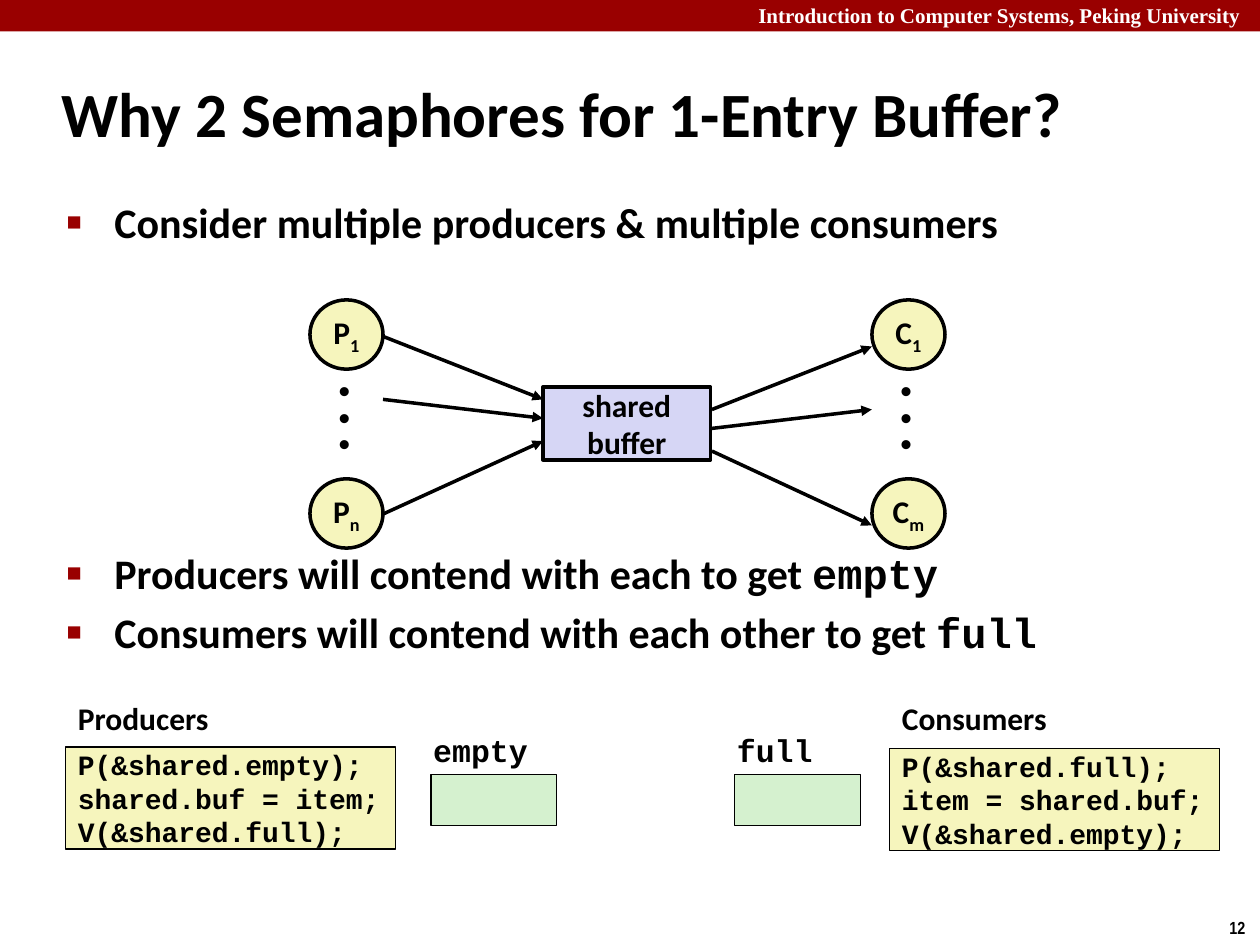
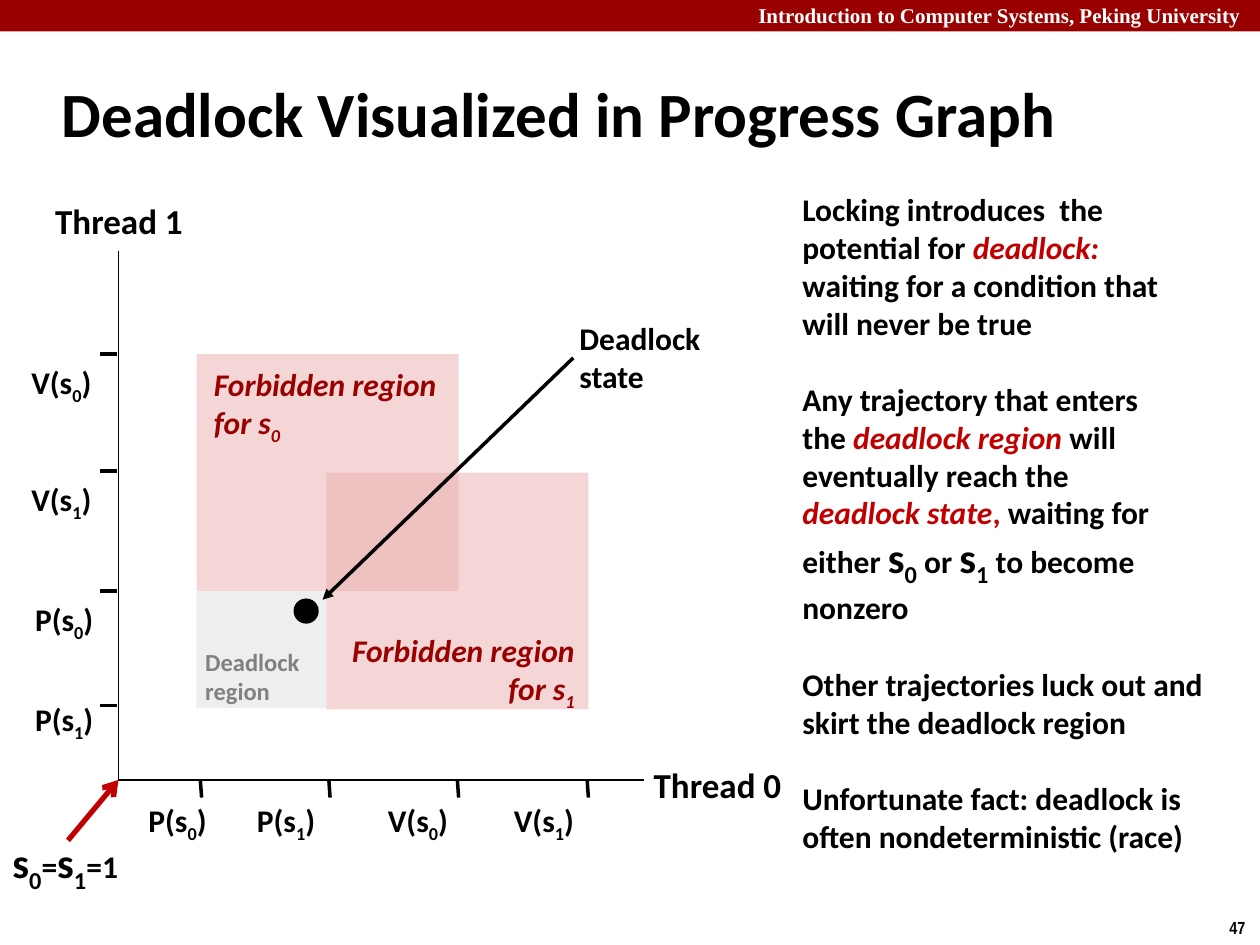
from lxml.etree import SubElement
from pptx import Presentation
from pptx.dml.color import RGBColor
from pptx.enum.shapes import MSO_CONNECTOR, MSO_SHAPE as Shape
from pptx.enum.text import MSO_ANCHOR as Anchor, PP_ALIGN as Align
from pptx.oxml.ns import qn
from pptx.util import Inches, Pt

BLACK = RGBColor(0x00, 0x00, 0x00)
WHITE = RGBColor(0xFF, 0xFF, 0xFF)
CRIMSON = RGBColor(0x99, 0x00, 0x00)
RED = RGBColor(0xC0, 0x00, 0x00)
YELLOW = RGBColor(0xF6, 0xF5, 0xBD)
LAVENDER = RGBColor(0xD6, 0xD6, 0xF5)
GREEN = RGBColor(0xD5, 0xF1, 0xCF)
PINK = RGBColor(0xEB, 0xAF, 0xAF)
SILVER = RGBColor(0xCC, 0xCC, 0xCC)
GRAY = RGBColor(0x80, 0x80, 0x80)

SANS, MONO = "Calibri", "Courier New"
FOOTER = "Introduction to Computer Systems, Peking University"

# Span styles
CODE = {"font": MONO}
SUB = {"sub": True}
KEY = {"color": RED, "italic": True}
BIG = {"size": 24}
BIG_SUB = {"size": 24, "sub": True}

# Semaphore slide: a paragraph is a string or a list of spans
BULLETS = [
    "Consider multiple producers & multiple consumers",
    ["Producers will contend with each to get ", ("empty", CODE)],
    ["Consumers will contend with each other to get ", ("full", CODE)],
]
BULLET_GAPS = {1: 172, 2: 4.8}
PARTIES = [("P", "n", 2.46), ("C", "m", 6.92)]  # letter, last index, left
ARROWS = [
    ((3.04, 2.67), (4.31, 3.17)),
    ((3.04, 3.17), (4.31, 3.32)),
    ((3.04, 4.08), (4.31, 3.5)),
    ((5.65, 3.25), (6.92, 2.75)),
    ((5.65, 3.4), (6.92, 3.25)),
    ((5.65, 3.58), (6.92, 4.17)),
]
LISTINGS = [  # heading, left, top, code
    ("Producers", 0.52, 5.93,
     ["P(&shared.empty);", "shared.buf = item;", "V(&shared.full);"]),
    ("Consumers", 7.06, 5.94,
     ["P(&shared.full);", "item = shared.buf;", "V(&shared.empty);"]),
]
SEMAPHORES = [("empty", 3.42), ("full", 5.83)]

# Deadlock slide
NOTES = [
    "Locking introduces  the",
    ["potential for ", ("deadlock:", KEY)],
    "waiting for a condition that will never be true",
    "Any trajectory that enters",
    ["the ", ("deadlock region ", KEY), "will"],
    "eventually reach the",
    [("deadlock state", KEY), (", ", {"color": RED}), "waiting for either ",
     ("s", BIG), ("0", BIG_SUB), " or ", ("s", BIG), ("1", BIG_SUB),
     " to become nonzero"],
    "Other trajectories luck out and skirt the deadlock region",
    "Unfortunate fact: deadlock is often nondeterministic (race)",
]
NOTE_GAPS = {3: 22, 7: 22, 8: 22}
ORIGIN = (0.94, 6.19)
X_MARKS = [("P", "0", 1.59, 1.08), ("P", "1", 2.61, 1.94),
           ("V", "0", 3.63, 2.98), ("V", "1", 4.66, 3.98)]  # tick, label left
Y_MARKS = [("V", "0", 2.81, 2.85), ("V", "1", 3.74, 3.78),
           ("P", "0", 4.69, 4.73), ("P", "1", 5.6, 5.53)]  # tick, label top
FORBIDDEN = [  # index, region corner, label box, alignment
    ("0", (1.56, 2.81), (1.6, 2.85, 2.06, 0.71), Align.LEFT),
    ("1", (2.59, 3.75), (2.61, 4.96, 2.05, 0.71), Align.RIGHT),
]


def write(frame, paragraphs, size=18, font=SANS, color=BLACK, italic=False,
          align=Align.LEFT, gaps=None, line_spacing=None):
    """Fill a frame; gaps maps a paragraph's index to its space before."""
    for index, spans in enumerate(paragraphs):
        para = frame.paragraphs[0] if index == 0 else frame.add_paragraph()
        para.alignment = align
        para.space_before = Pt((gaps or {}).get(index, 0))
        if line_spacing:
            para.line_spacing = line_spacing
        for span in [spans] if isinstance(spans, str) else spans:
            text, style = (span, {}) if isinstance(span, str) else span
            run = para.add_run()
            run.text = text
            run.font.bold = True
            run.font.italic = style.get("italic", italic)
            run.font.size = Pt(style.get("size", size))
            run.font.name = style.get("font", font)
            run.font.color.rgb = style.get("color", color)
            if style.get("sub"):
                run._r.get_or_add_rPr().set("baseline", "-25000")


def add_text(slide, place, paragraphs, wrap=False, anchor=Anchor.TOP,
             flat=False, **style):
    """Add a text box; flat drops the top and bottom insets."""
    frame = slide.shapes.add_textbox(*map(Inches, place)).text_frame
    frame.word_wrap = wrap
    frame.vertical_anchor = anchor
    if flat:
        frame.margin_top = frame.margin_bottom = 0
    write(frame, paragraphs, **style)
    return frame


def add_block(slide, kind, place, fill, line=0, alpha=None, paragraphs=(), **style):
    """Add a filled shape; line is its outline in points, alpha a percentage."""
    shape = slide.shapes.add_shape(kind, *map(Inches, place))
    shape.shadow.inherit = False
    shape.fill.solid()
    shape.fill.fore_color.rgb = fill
    if alpha:
        color = shape._element.spPr.find(".//" + qn("a:srgbClr"))
        SubElement(color, qn("a:alpha"), val=str(alpha * 1000))
    if line:
        shape.line.color.rgb = BLACK
        shape.line.width = Pt(line)
    else:
        shape.line.fill.background()
    if paragraphs:
        frame = shape.text_frame
        frame.word_wrap = False
        frame.vertical_anchor = Anchor.MIDDLE
        frame.margin_top = frame.margin_bottom = 0
        write(frame, paragraphs, **style)


def add_line(slide, start, end, width=2, color=BLACK, arrow=None):
    line = slide.shapes.add_connector(
        MSO_CONNECTOR.STRAIGHT, *map(Inches, (*start, *end)))
    line.line.color.rgb = color
    line.line.width = Pt(width)
    if arrow:
        SubElement(line.line._get_or_add_ln(), qn("a:tailEnd"), type=arrow)
    SubElement(line._element.spPr, qn("a:effectLst"))


def add_bullet(para):
    props = para._p.get_or_add_pPr()
    props.set("marL", str(Inches(0.38)))
    props.set("indent", str(-Inches(0.38)))
    SubElement(SubElement(props, qn("a:buClr")), qn("a:srgbClr"), val=str(CRIMSON))
    SubElement(props, qn("a:buSzPct"), val="60000")
    SubElement(props, qn("a:buFont"), typeface="Arial")
    SubElement(props, qn("a:buChar"), char="■")


def operation(letter, index):
    return [f"{letter}(s", (index, SUB), ")"]


def add_page(deck, title, number):
    """Add a slide with the shared band, title and page number."""
    slide = deck.slides.add_slide(deck.slide_layouts[5])
    add_block(slide, Shape.RECTANGLE, (0, 0, 10, 0.25), CRIMSON)
    add_text(slide, (5.92, -0.03, 4.15, 0.3), [FOOTER],
             size=12, font="Times New Roman", color=WHITE)
    add_text(slide, (9.66, 7.23, 0.34, 0.27), [number], size=10, font="Arial Narrow")
    box = slide.shapes.title
    box.left, box.top, box.width, box.height = map(Inches, (0.39, 0.48, 8.3, 0.83))
    box.text_frame.vertical_anchor = Anchor.MIDDLE
    write(box.text_frame, [title], size=36)
    return slide


def build_semaphores(deck):
    slide = add_page(deck, "Why 2 Semaphores for 1-Entry Buffer?", "12")
    body = add_text(slide, (0.43, 1.51, 8.64, 3.8), BULLETS, wrap=True,
                    size=24, gaps=BULLET_GAPS)
    for para in body.paragraphs:
        add_bullet(para)

    add_block(slide, Shape.RECTANGLE, (4.31, 3.07, 1.33, 0.58), LAVENDER, 2,
              paragraphs=["shared", "buffer"], align=Align.CENTER)
    for letter, last, left in PARTIES:
        for index, top in (("1", 2.38), (last, 3.8)):
            add_block(slide, Shape.OVAL, (left, top, 0.58, 0.55), YELLOW, 2,
                      paragraphs=[[letter, (index, SUB)]], align=Align.CENTER)
        add_text(slide, (left + 0.13, 2.98, 0.32, 0.75), ["•"] * 3,
                 font="Arial", line_spacing=0.7)
    for start, end in ARROWS:
        add_line(slide, start, end, arrow="triangle")

    for heading, left, top, code in LISTINGS:
        add_text(slide, (left, 5.5, 1.37, 0.4), [heading], wrap=True)
        add_block(slide, Shape.RECTANGLE, (left, top, 2.62, 0.81), YELLOW, 1,
                  paragraphs=code, size=16, font=MONO)
    for name, left in SEMAPHORES:
        add_text(slide, (left - 0.08, 5.75, 1, 0.4), [name], wrap=True, font=MONO)
        add_block(slide, Shape.RECTANGLE, (left, 6.15, 1, 0.4), GREEN, 0.75)


def build_deadlock(deck):
    slide = add_page(deck, "Deadlock Visualized in Progress Graph", "47")
    add_block(slide, Shape.RECTANGLE, (1.56, 4.69, 1.03, 0.93), SILVER, alpha=32)
    add_text(slide, (6.27, 1.51, 3.4, 5.25), NOTES, wrap=True, flat=True,
             gaps=NOTE_GAPS)

    x0, y0 = ORIGIN
    middle = {"anchor": Anchor.MIDDLE}
    add_line(slide, ORIGIN, (5.11, y0), 1)
    add_line(slide, ORIGIN, (x0, 1.99), 1)
    for name, left, top in (("Thread 0", 5.08, 6.01), ("Thread 1", 0.33, 1.53)):
        add_text(slide, (left, top, 1.23, 0.44), [name], size=20,
                 align=Align.CENTER, **middle)
    for letter, index, tick, left in X_MARKS:
        add_line(slide, (tick, y0), (tick + 0.01, y0 + 0.14))
        add_text(slide, (left, 6.33, 0.69, 0.4), [operation(letter, index)], **middle)
    for letter, index, tick, top in Y_MARKS:
        add_line(slide, (x0 - 0.15, tick), (x0 - 0.01, tick))
        left = 0.18 if letter == "P" else 0.15
        add_text(slide, (left, top, 0.69, 0.4), [operation(letter, index)], **middle)

    for _, corner, _, _ in FORBIDDEN:
        add_block(slide, Shape.RECTANGLE, (*corner, 2.08, 1.88), PINK, alpha=50)
    for index, _, place, align in FORBIDDEN:
        add_text(slide, place, ["Forbidden region", ["for s", (index, SUB)]],
                 color=CRIMSON, italic=True, align=align)

    add_block(slide, Shape.OVAL, (2.33, 4.75, 0.2, 0.2), BLACK)
    add_text(slide, (4.5, 2.53, 1.17, 0.61), ["Deadlock", "state"], flat=True, **middle)
    add_line(slide, (4.55, 2.84), (2.56, 4.76), arrow="triangle")
    add_text(slide, (1.53, 5.13, 0.96, 0.47), ["Deadlock", "region"], flat=True,
             size=14, color=GRAY, **middle)
    start_state = [("s", BIG), ("0", BIG_SUB), "=", ("s", BIG), ("1", BIG_SUB), "=1"]
    add_text(slide, (0, 6.67, 1.08, 0.4), [start_state], flat=True, **middle)
    add_line(slide, (0.54, 6.67), ORIGIN, 3, RED, "arrow")


def main():
    deck = Presentation()
    deck.slide_width, deck.slide_height = Inches(10), Inches(7.5)
    build_semaphores(deck)
    build_deadlock(deck)
    deck.save("out.pptx")


if __name__ == "__main__":
    main()
